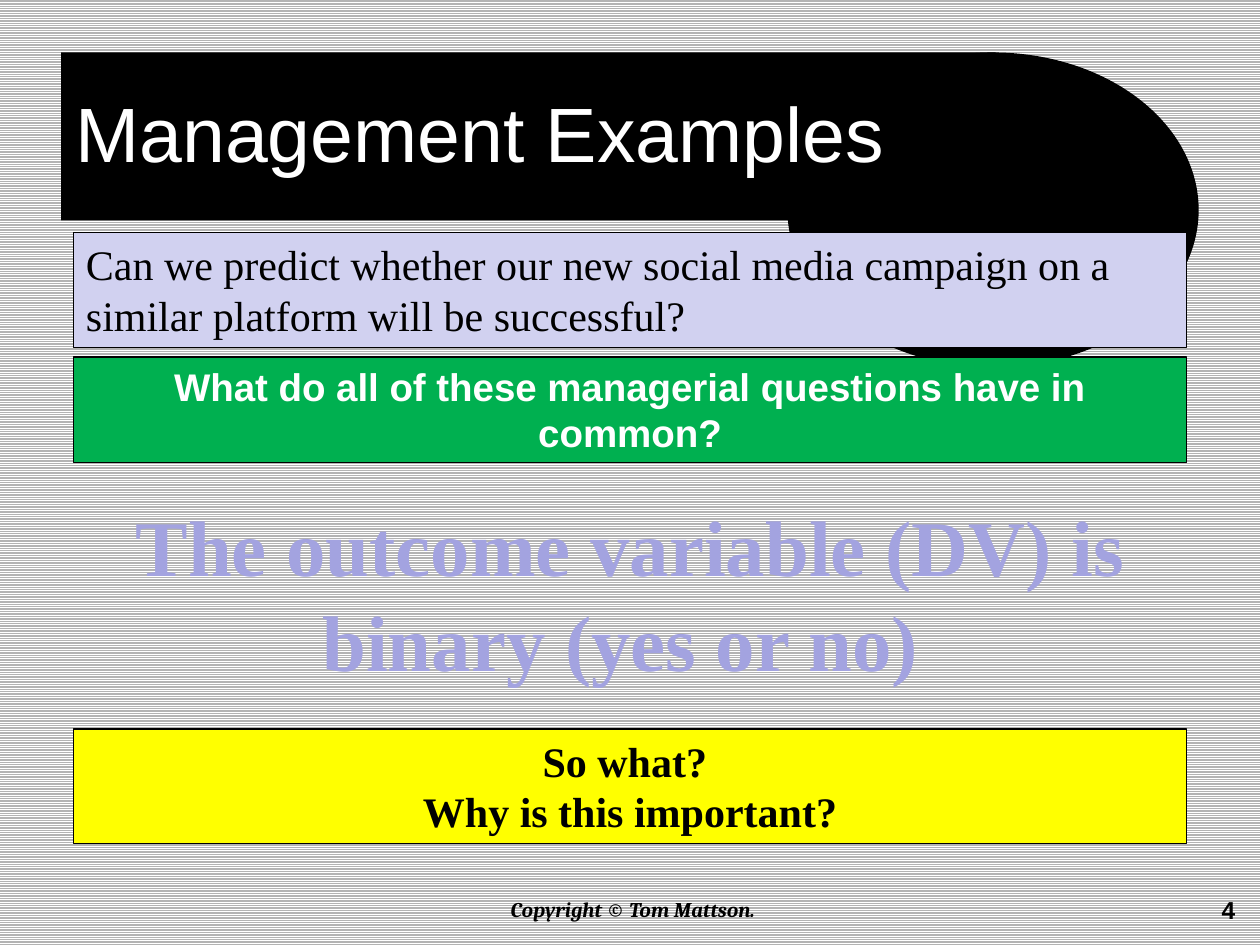
import pptx
import pptx.dml.color
import pptx.enum.dml
import pptx.enum.shapes
import pptx.enum.text
import pptx.util

Pt = pptx.util.Pt
RGBColor = pptx.dml.color.RGBColor
SHAPE = pptx.enum.shapes.MSO_SHAPE
ALIGN = pptx.enum.text.PP_ALIGN
ANCHOR = pptx.enum.text.MSO_ANCHOR

BLACK = RGBColor(0x00, 0x00, 0x00)
WHITE = RGBColor(0xFF, 0xFF, 0xFF)
STRIPE = RGBColor(0xB3, 0xB3, 0xB3)
LAVENDER = RGBColor(0xD1, 0xD1, 0xF0)
PERIWINKLE = RGBColor(0xA3, 0xA3, 0xE0)
GREEN = RGBColor(0x00, 0xB0, 0x50)
YELLOW = RGBColor(0xFF, 0xFF, 0x00)

SERIF = "Times New Roman"
SANS = "Arial"
PANEL_LEFT, PANEL_WIDTH = 42, 636


def write_text(shape, lines, color, align=ALIGN.LEFT, anchor=ANCHOR.TOP, after=0, **font):
    """Fill a shape with one formatted paragraph per line."""
    frame = shape.text_frame
    frame.word_wrap = True
    frame.vertical_anchor = anchor
    for index, line in enumerate(lines):
        para = frame.add_paragraph() if index else frame.paragraphs[0]
        para.alignment = align
        para.space_after = Pt(after)
        span = para.add_run()
        span.text = line
        span.font.color.rgb = color
        for name, value in font.items():
            setattr(span.font, name, value)


def add_filled(page, kind, box, fill, outline=None):
    """Add a flat preset shape in the given box."""
    shape = page.shapes.add_shape(kind, *map(Pt, box))
    shape.shadow.inherit = False
    shape.fill.solid()
    shape.fill.fore_color.rgb = fill
    if outline is None:
        shape.line.fill.background()
    else:
        shape.line.color.rgb = outline
        shape.line.width = Pt(0.75)
    return shape


def add_label(page, box, lines, color, **style):
    """Add a text box in the given box."""
    write_text(page.shapes.add_textbox(*map(Pt, box)), lines, color, **style)


def add_panel(page, box, fill, lines, color, **style):
    """Add an outlined panel with text in the given box."""
    write_text(add_filled(page, SHAPE.RECTANGLE, box, fill, BLACK), lines, color, **style)


def add_background(page):
    """Give the page narrow horizontal stripes."""
    fill = page.background.fill
    fill.patterned()
    fill.pattern = pptx.enum.dml.MSO_PATTERN.NARROW_HORIZONTAL
    fill.fore_color.rgb = WHITE
    fill.back_color.rgb = STRIPE


def add_header(page, box):
    """Draw the black banner, its ellipse and the title in the given box."""
    left, top, width, height = box
    bar_width, ellipse_width = 534, 235
    add_filled(page, SHAPE.RECTANGLE, (left, top, bar_width, 96), BLACK)
    add_filled(page, SHAPE.OVAL,
               (left + width - ellipse_width, top, ellipse_width, height), BLACK)
    add_label(page, (left + 1, top, 630, 90), ["Management Examples"], WHITE,
              anchor=ANCHOR.MIDDLE, name=SANS, size=Pt(44))


def add_body(page, left, width):
    """Stack the question panels and the answer in one column."""
    add_panel(page, (left, 133, width, 65.5), LAVENDER,
              ["Can we predict whether our new social media campaign on a "
               "similar platform will be successful?"],
              BLACK, name=SERIF, size=Pt(24))
    add_panel(page, (left, 204, width, 60.5), GREEN,
              ["What do all of these managerial questions have in common?"],
              WHITE, align=ALIGN.CENTER, after=9, name=SANS, size=Pt(22), bold=True)
    add_label(page, (left, 281, width, 116.5),
              ["The outcome variable (DV) is binary (yes or no) "],
              PERIWINKLE, align=ALIGN.CENTER, name=SERIF, size=Pt(45), bold=True)
    add_panel(page, (left, 416.5, width, 65.5), YELLOW,
              ["So what? ", "Why is this important?"],
              BLACK, align=ALIGN.CENTER, name=SERIF, size=Pt(24), bold=True)


def add_footer(page, top):
    """Place the copyright line and the page number."""
    add_label(page, (544, top, 169, 24), ["4"], BLACK,
              align=ALIGN.RIGHT, name=SANS, size=Pt(14), bold=True)
    add_label(page, (180, top + 1, 366, 22), ["Copyright © Tom Mattson. "], BLACK,
              align=ALIGN.CENTER, name="Cambria", size=Pt(12), bold=True, italic=True)


def main():
    """Build and save the deck."""
    deck = pptx.Presentation()
    deck.slide_width, deck.slide_height = Pt(720), Pt(540)
    page = deck.slides.add_slide(deck.slide_layouts[6])
    add_background(page)
    add_header(page, (35, 30, 650, 180))
    add_body(page, PANEL_LEFT, PANEL_WIDTH)
    add_footer(page, 508)
    deck.save("out.pptx")


if __name__ == "__main__":
    main()
